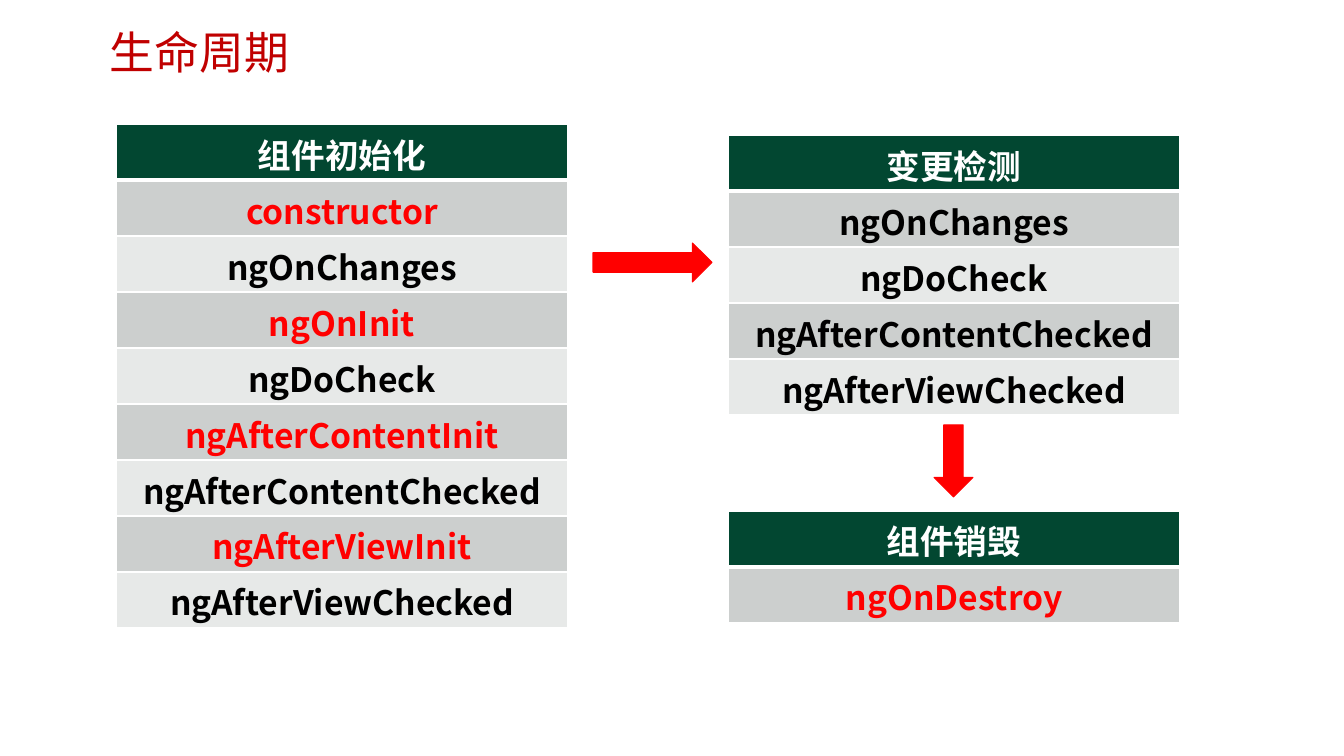
import pptx
import pptx.dml.color
import pptx.enum.shapes
import pptx.enum.text
import pptx.oxml
import pptx.oxml.ns
import pptx.util
from lxml import etree

EMU_PER_PX = 914400 / 100.8
COLORS = {"title": "C00000", "header": "024731", "odd": "CCCFCE", "even": "E7E9E8",
          "white": "FFFFFF", "black": "000000", "red": "FF0000"}
CJK_FONT = "Noto Sans CJK SC"
FORMATS = {
    "title": {"size": pptx.util.Pt(32), "name": CJK_FONT, "bold": False},
    "header": {"size": pptx.util.Pt(24), "name": "Arial", "bold": True},
    "hook": {"size": pptx.util.Pt(24), "name": CJK_FONT, "bold": True},
}
ONCE_ONLY_HOOKS = {"constructor", "ngOnInit", "ngAfterContentInit",
                   "ngAfterViewInit", "ngOnDestroy"}
TABLE_WIDTH, ROW_HEIGHT = 452, 56


def px(value):
    return pptx.util.Emu(round(value * EMU_PER_PX))


def rgb(color):
    return pptx.dml.color.RGBColor.from_string(COLORS[color])


class LifecycleSlide:
    def __init__(self, deck):
        self.slide = deck.slides.add_slide(deck.slide_layouts[6])

    def add_text(self, paragraph, text, style, color):
        run = paragraph.add_run()
        run.text = text
        for attribute, value in FORMATS[style].items():
            setattr(run.font, attribute, value)
        run.font.color.rgb = rgb(color)
        properties = run._r.get_or_add_rPr()
        east_asian = etree.SubElement(properties, pptx.oxml.ns.qn("a:ea"))
        east_asian.set("typeface", CJK_FONT)

    def title(self, x, y, width, height, text):
        frame = self.slide.shapes.add_textbox(px(x), px(y), px(width), px(height)).text_frame
        frame.word_wrap = True
        paragraph = frame.paragraphs[0]
        paragraph.line_spacing = 0.9
        self.add_text(paragraph, text, "title", "title")

    def border(self, cell, top, bottom):
        properties = cell._tc.get_or_add_tcPr()
        widths = {"lnL": 1, "lnR": 1, "lnT": top, "lnB": bottom}
        for position, (side, points) in enumerate(widths.items()):
            line = pptx.oxml.parse_xml(
                f'<a:{side} {pptx.oxml.ns.nsdecls("a")} w="{pptx.util.Pt(points)}">'
                f'<a:solidFill><a:srgbClr val="{COLORS["white"]}"/></a:solidFill></a:{side}>')
            properties.insert(position, line)

    def cell(self, cell, text, style, color, fill, top, bottom):
        cell.fill.solid()
        cell.fill.fore_color.rgb = rgb(fill)
        paragraph = cell.text_frame.paragraphs[0]
        paragraph.alignment = pptx.enum.text.PP_ALIGN.CENTER
        self.add_text(paragraph, text, style, color)
        self.border(cell, top, bottom)

    def phase(self, x, y, header, hooks):
        count = len(hooks) + 1
        table = self.slide.shapes.add_table(
            count, 1, px(x), px(y), px(TABLE_WIDTH), px(ROW_HEIGHT * count)).table
        for row in table.rows:
            row.height = px(ROW_HEIGHT)
        self.cell(table.cell(0, 0), header, "header", "white", "header", 1, 3)
        for number, hook in enumerate(hooks, 1):
            self.cell(table.cell(number, 0), hook, "hook",
                      "red" if hook in ONCE_ONLY_HOOKS else "black",
                      "odd" if number % 2 else "even", 3 if number == 1 else 1, 1)

    def arrow(self, kind, x, y, width, height):
        arrow = self.slide.shapes.add_shape(kind, px(x), px(y), px(width), px(height))
        arrow.shadow.inherit = False
        arrow.fill.solid()
        arrow.fill.fore_color.rgb = rgb("red")
        arrow.line.color.rgb = rgb("red")
        arrow.line.width = pptx.util.Pt(0.75)


deck = pptx.Presentation()
deck.slide_width, deck.slide_height = px(1344), px(756)
lifecycle = LifecycleSlide(deck)

# Title
lifecycle.title(100, 26, 835, 54, "生命周期")

# Lifecycle phases
lifecycle.phase(116, 124, "组件初始化", [
    "constructor", "ngOnChanges", "ngOnInit", "ngDoCheck", "ngAfterContentInit",
    "ngAfterContentChecked", "ngAfterViewInit", "ngAfterViewChecked"])
lifecycle.phase(728, 135, "变更检测", [
    "ngOnChanges", "ngDoCheck", "ngAfterContentChecked", "ngAfterViewChecked"])
lifecycle.phase(728, 511, "组件销毁", ["ngOnDestroy"])

# Arrows between the phases
SHAPES = pptx.enum.shapes.MSO_SHAPE
lifecycle.arrow(SHAPES.RIGHT_ARROW, 593, 243, 119, 39)
lifecycle.arrow(SHAPES.DOWN_ARROW, 934, 425, 39, 72)

deck.save("out.pptx")
